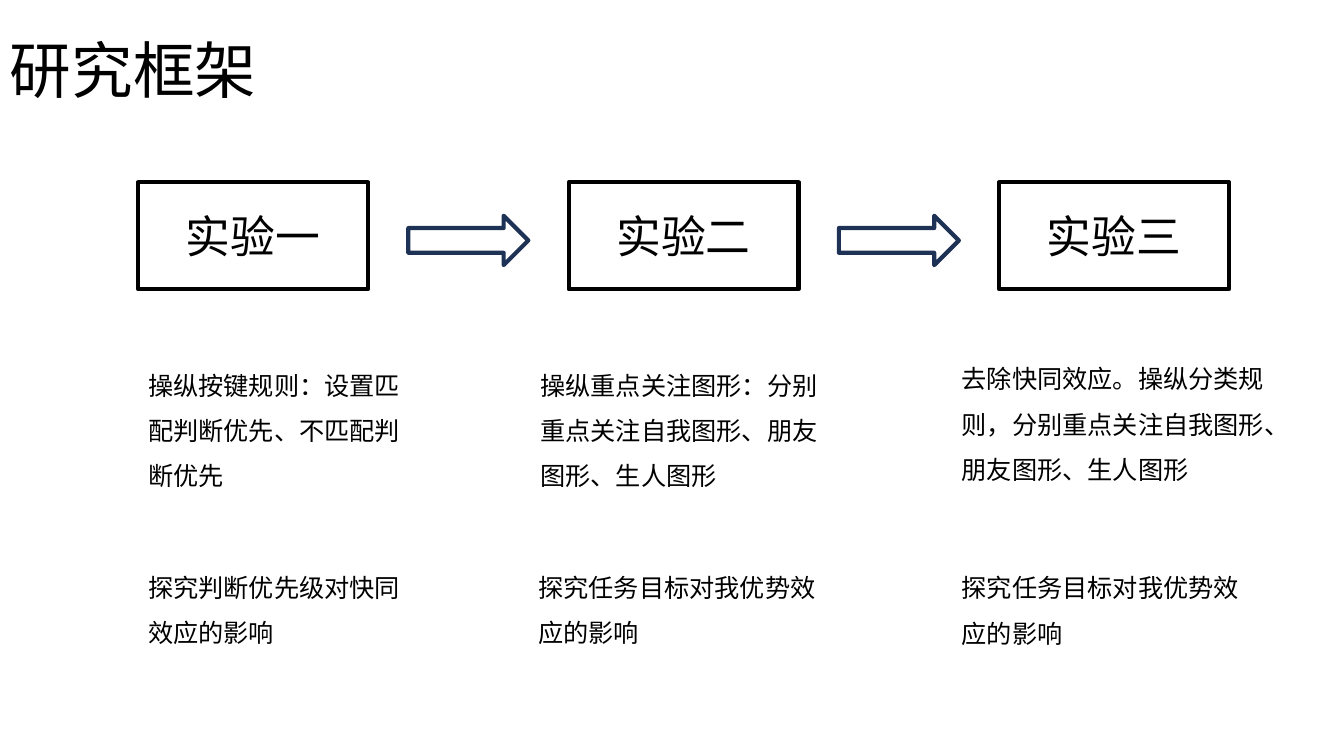
from dataclasses import dataclass

from lxml.etree import SubElement
from pptx import Presentation
from pptx.dml.color import RGBColor
from pptx.enum.shapes import MSO_SHAPE
from pptx.enum.text import MSO_ANCHOR, MSO_AUTO_SIZE, PP_ALIGN
from pptx.oxml.ns import qn
from pptx.util import Inches, Pt


@dataclass(frozen=True)
class Theme:
    font: str = "Noto Sans CJK SC"
    ink: RGBColor = RGBColor(0x00, 0x00, 0x00)
    paper: RGBColor = RGBColor(0xFF, 0xFF, 0xFF)
    arrow: RGBColor = RGBColor(0x1E, 0x32, 0x56)
    title: Pt = Pt(44)
    heading: Pt = Pt(32)
    body: Pt = Pt(18)
    outline: Pt = Pt(3)


THEME = Theme()

# Flow row: evenly spaced boxes with an arrow in each gap
FIRST_LEFT, STEP = 1.37, 4.27
BOX_TOP, BOX_W, BOX_H = 1.81, 2.28, 1.06
ARROW_OFFSET, ARROW_TOP, ARROW_W, ARROW_H = 2.68, 2.14, 1.19, 0.49

EXPERIMENTS = ["实验一", "实验二", "实验三"]

# Left, top, width, height and wording of each note
NOTES = [
    # What each experiment manipulates
    (1.37, 3.47, 2.82, 1.41, "操纵按键规则：设置匹配判断优先、不匹配判断优先"),
    (5.26, 3.47, 3.01, 1.41, "操纵重点关注图形：分别重点关注自我图形、朋友图形、生人图形"),
    (9.44, 3.41, 3.27, 1.41, "去除快同效应。操纵分类规则，分别重点关注自我图形、朋友图形、生人图形"),
    # What each experiment explores
    (1.37, 5.48, 2.82, 0.96, "探究判断优先级对快同效应的影响"),
    (5.24, 5.48, 3.01, 0.96, "探究任务目标对我优势效应的影响"),
    (9.44, 5.48, 2.98, 0.95, "探究任务目标对我优势效应的影响"),
]


def set_attrs(obj, values):
    for name, value in values.items():
        setattr(obj, name, value)


def write_text(tf, text, size, frame, paragraph):
    set_attrs(tf, {"word_wrap": True, **frame})
    p = tf.paragraphs[0]
    set_attrs(p, paragraph)
    r = p.add_run()
    r.text = text
    set_attrs(r.font, {"size": size, "name": THEME.font})
    r.font.color.rgb = THEME.ink
    # East Asian typeface
    SubElement(r.font._element, qn("a:ea"), typeface=THEME.font)


def add_outlined(shapes, kind, box, color):
    sp = shapes.add_shape(kind, *map(Inches, box))
    sp.shadow.inherit = False
    sp.fill.solid()
    sp.fill.fore_color.rgb = THEME.paper
    sp.line.color.rgb = color
    sp.line.width = THEME.outline
    return sp


def add_text(s, box, text, size, frame, spacing):
    sp = s.shapes.add_textbox(*map(Inches, box))
    write_text(sp.text_frame, text, size, frame, {"line_spacing": spacing})


def add_flow(s):
    shapes = s.shapes.add_group_shape().shapes
    for i, name in enumerate(EXPERIMENTS):
        left = FIRST_LEFT + i * STEP
        if i:
            arrow_left = left - STEP + ARROW_OFFSET
            add_outlined(shapes, MSO_SHAPE.RIGHT_ARROW,
                         (arrow_left, ARROW_TOP, ARROW_W, ARROW_H), THEME.arrow)
        sp = add_outlined(shapes, MSO_SHAPE.RECTANGLE,
                          (left, BOX_TOP, BOX_W, BOX_H), THEME.ink)
        write_text(sp.text_frame, name, THEME.heading,
                   {"vertical_anchor": MSO_ANCHOR.MIDDLE},
                   {"alignment": PP_ALIGN.CENTER})


def main():
    prs = Presentation()
    set_attrs(prs, {"slide_width": Inches(13.33), "slide_height": Inches(7.5)})
    s = prs.slides.add_slide(prs.slide_layouts[6])

    # Title
    add_text(s, (0, 0, 11.5, 1.45), "研究框架", THEME.title,
             {"vertical_anchor": MSO_ANCHOR.MIDDLE}, 0.9)

    # Experiments in order
    add_flow(s)

    # Notes under the experiments
    for *box, text in NOTES:
        add_text(s, box, text, THEME.body,
                 {"auto_size": MSO_AUTO_SIZE.SHAPE_TO_FIT_TEXT}, 1.5)

    prs.save("out.pptx")


if __name__ == "__main__":
    main()
